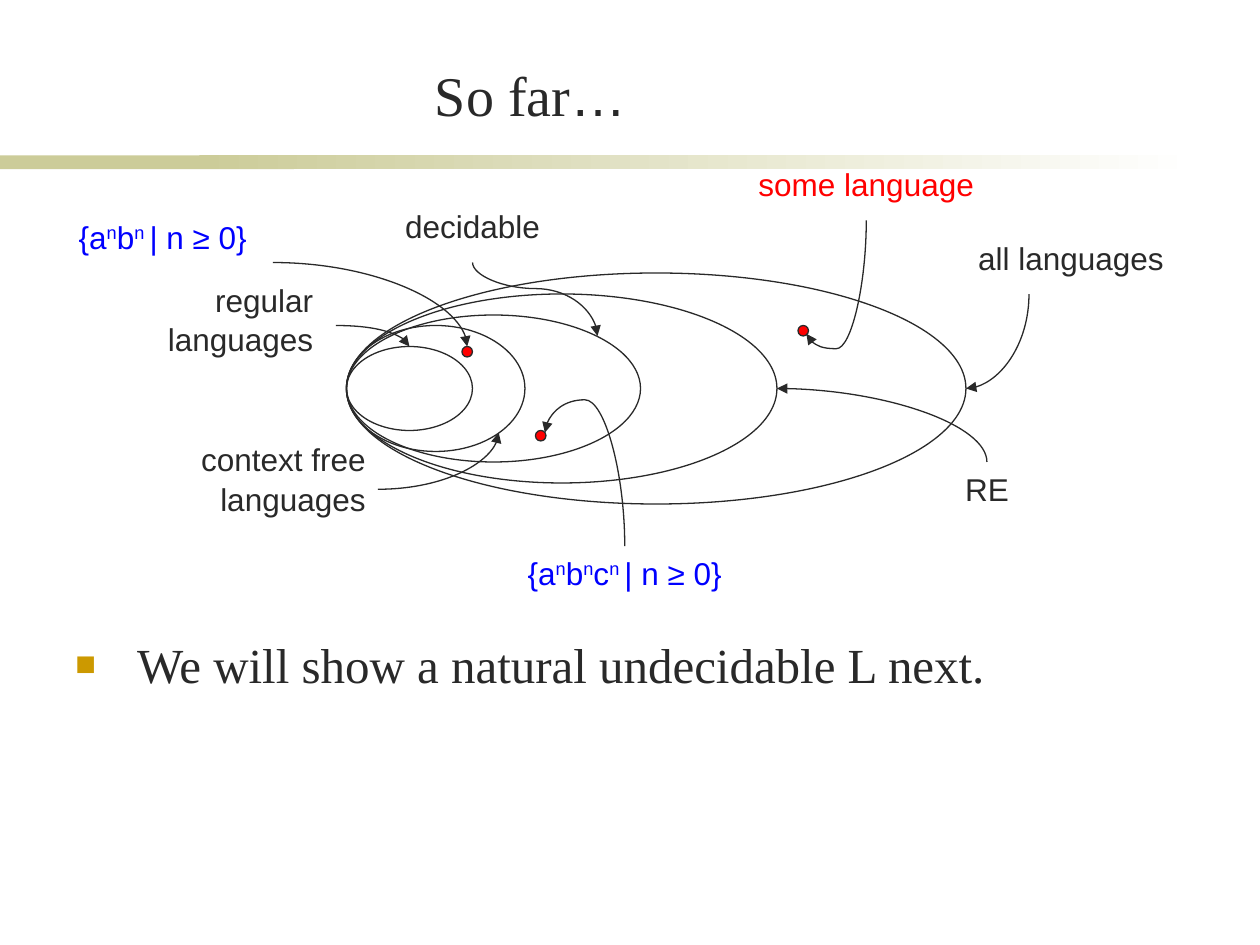
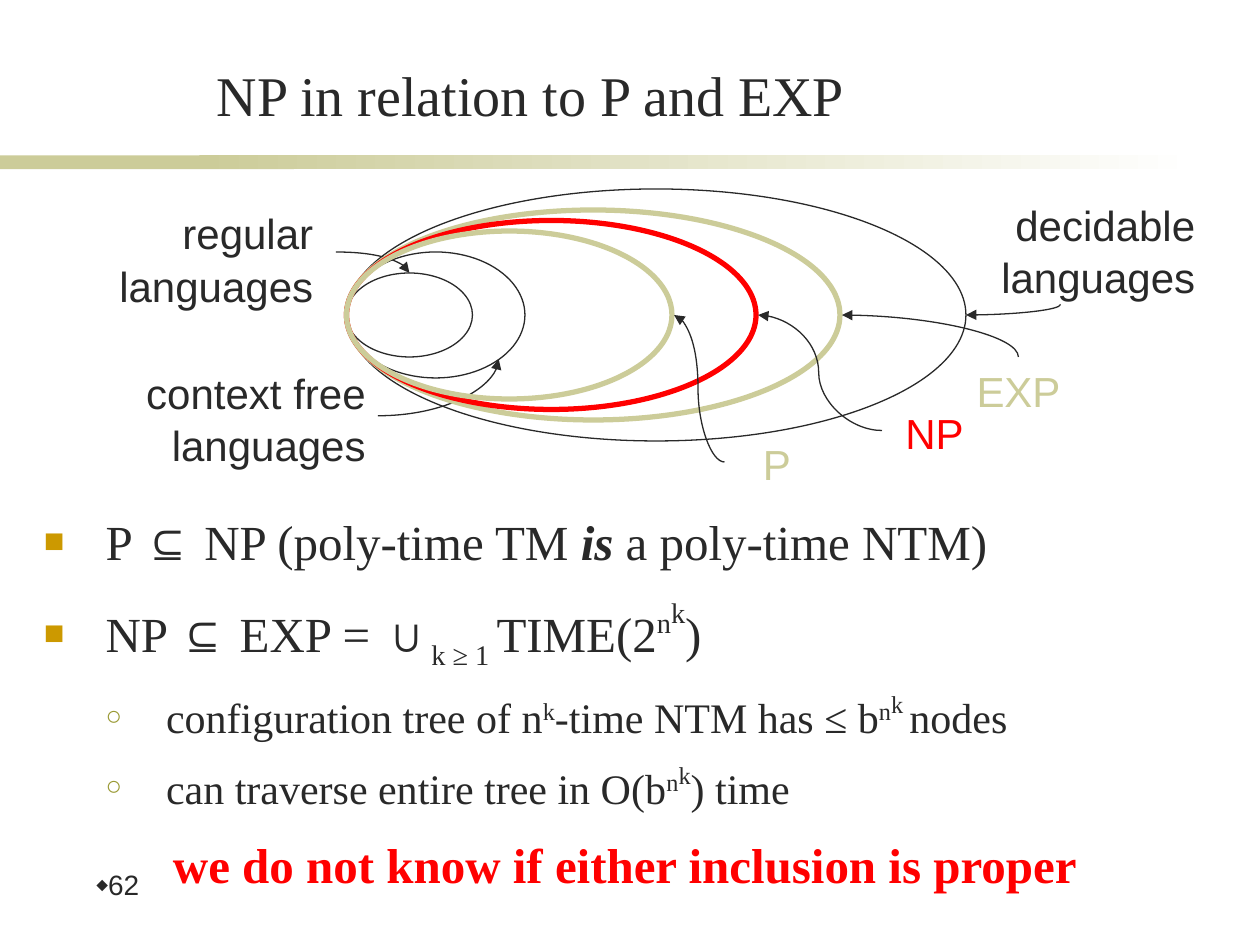
from lxml import etree
from pptx import Presentation
from pptx.dml.color import RGBColor
from pptx.enum.shapes import MSO_CONNECTOR, MSO_SHAPE
from pptx.enum.text import MSO_ANCHOR as ANCHOR, PP_ALIGN as ALIGN
from pptx.oxml.ns import qn
from pptx.util import Inches, Pt

INK = RGBColor(0x29, 0x29, 0x29)
OLIVE = RGBColor(0xCC, 0xCC, 0x99)
GOLD = RGBColor(0xCC, 0x99, 0x00)
MOSS = RGBColor(0x99, 0x99, 0x33)
RED = RGBColor(0xFF, 0x00, 0x00)
BLUE = RGBColor(0x00, 0x00, 0xFF)
WHITE = RGBColor(0xFF, 0xFF, 0xFF)

SANS, SERIF = "Arial", "Times New Roman"
COLUMNS, ROWS = 120, 90  # twelve cells to the inch
NEST_LEFT = 33  # column where all nested ellipses touch


def cells(*counts):
    return [Inches(count / 12) for count in counts]


def child(parent, tag, **attributes):
    element = etree.SubElement(parent, qn(tag))
    for name, value in attributes.items():
        element.set(name, str(value))
    return element


def up(text, percent=30):
    """A raised run, or a lowered one if percent is negative."""
    return text, {"baseline": percent}


def write(paragraph, runs, size=18, font=SANS, color=INK, bold=False,
          align=ALIGN.LEFT, spacing=None, before=0):
    """Fill a paragraph with plain strings and (text, format) pairs."""
    paragraph.alignment = align
    paragraph.space_before = Pt(before)
    if spacing:
        paragraph.line_spacing = spacing
    for part in [runs] if isinstance(runs, str) else runs:
        text, style = (part, {}) if isinstance(part, str) else part
        run = paragraph.add_run()
        run.text = text
        run.font.size = Pt(size)
        run.font.name = style.get("font", font)
        run.font.color.rgb = color
        run.font.bold = style.get("bold", bold)
        run.font.italic = style.get("italic", False)
        if "baseline" in style:
            run._r.get_or_add_rPr().set("baseline", str(style["baseline"] * 1000))


def add_bullet(paragraph, mark, color, percent, margin=0, hanging=0):
    properties = paragraph._p.get_or_add_pPr()
    properties.set("marL", str(Inches(margin)))
    properties.set("indent", str(-Inches(hanging)))
    child(child(properties, "a:buClr"), "a:srgbClr", val=color)
    child(properties, "a:buSzPct", val=percent * 1000)
    child(properties, "a:buFont", typeface=SANS)
    child(properties, "a:buChar", char=mark)


class Deck:
    def __init__(self):
        self.presentation = Presentation()
        self.presentation.slide_width, self.presentation.slide_height = cells(COLUMNS, ROWS)
        self.slide = None

    def new_slide(self, title):
        layout = self.presentation.slide_layouts[6]
        self.slide = self.presentation.slides.add_slide(layout)
        # Band under the title: solid part, then fading part
        self.shape(MSO_SHAPE.RECTANGLE, 0, 14.8, 28, 1.3, fill=OLIVE)
        fading = self.shape(MSO_SHAPE.RECTANGLE, 19, 14.8, 95, 1.3)
        fading.fill.gradient()
        fading.fill.gradient_angle = 0
        for stop, color in zip(fading.fill.gradient_stops, (OLIVE, WHITE)):
            stop.color.rgb = color
        frame = self.text_frame(13.7, 5.3, 73.7, 7.5, anchor=ANCHOR.BOTTOM)
        write(frame.paragraphs[0], title, size=32, font=SERIF, align=ALIGN.CENTER)

    def shape(self, kind, left, top, width, height, fill=None, line=None, weight=0.75):
        shape = self.slide.shapes.add_shape(kind, *cells(left, top, width, height))
        shape.shadow.inherit = False
        if fill is None:
            shape.fill.background()
        else:
            shape.fill.solid()
            shape.fill.fore_color.rgb = fill
        if line is None:
            shape.line.fill.background()
        else:
            shape.line.color.rgb = line
            shape.line.width = Pt(weight)
        return shape

    def text_frame(self, left, top, width, height, anchor=ANCHOR.TOP):
        frame = self.slide.shapes.add_textbox(*cells(left, top, width, height)).text_frame
        frame.word_wrap = True
        frame.vertical_anchor = anchor
        return frame

    def label(self, runs, left, top, width, height=6, align=ALIGN.CENTER, **style):
        frame = self.text_frame(left, top, width, height)
        write(frame.paragraphs[0], runs, align=align, spacing=1.04, **style)

    def nested(self, middle, width, height, color=INK, weight=0.75):
        self.shape(MSO_SHAPE.OVAL, NEST_LEFT, middle - height / 2, width, height,
                   line=color, weight=weight)

    def dot(self, left, top):
        self.shape(MSO_SHAPE.OVAL, left, top, 1, 1, fill=RED, line=INK)

    def arrow(self, start, end, upright=False, bend=None):
        """Curve that leaves start sideways or upright; bend makes it an S."""
        (x1, y1), (x2, y2) = start, end
        same_sign = (x2 > x1) == (y2 > y1)
        width, height = abs(x2 - x1), abs(y2 - y1)
        if upright:
            width, height = height, width
            rotation, flip = (90 if x2 < x1 else 270), ("flipH" if same_sign else None)
        else:
            rotation, flip = (180 if x2 < x1 else 0), (None if same_sign else "flipV")
        left, top = (x1 + x2 - width) / 2, (y1 + y2 - height) / 2
        connector = self.slide.shapes.add_connector(
            MSO_CONNECTOR.CURVE, *cells(left, top, left + width, top + height))
        connector.line.color.rgb = INK
        connector.line.width = Pt(0.75)
        properties = connector.element.spPr
        frame = properties.find(qn("a:xfrm"))
        frame.set("rot", str(rotation * 60000))
        if flip:
            frame.set(flip, "1")
        geometry = properties.find(qn("a:prstGeom"))
        if bend is None:
            geometry.set("prst", "curvedConnector2")
        else:
            guides = geometry.find(qn("a:avLst"))
            if guides is None:
                guides = child(geometry, "a:avLst")
            child(guides, "a:gd", name="adj1", fmla=f"val {round(bend * 100000)}")
        child(properties.find(qn("a:ln")), "a:tailEnd", type="triangle")
        child(properties, "a:effectLst")

    def inner_classes(self, middle, size):
        """Regular and context free languages, with labels and arrows."""
        self.nested(middle, 17, 12)
        self.nested(middle, 12, 8)
        self.label("regular languages", 9, middle - 11, 22, 10.8,
                   align=ALIGN.RIGHT, size=size)
        self.arrow((32, middle - 6), (39, middle - 4))
        self.label("context free languages", 8, middle + 4.2, 28, 10.8,
                   align=ALIGN.RIGHT, size=size)
        self.arrow((36, middle + 9.6), (47.5, middle + 4.2))

    def body(self, left, top, width, height, items, spacing=None):
        """Items are (level, runs); level None is a centred red conclusion."""
        frame = self.text_frame(left, top, width, height)
        for index, (level, runs) in enumerate(items):
            paragraph = frame.add_paragraph() if index else frame.paragraphs[0]
            size = 24 if level == 1 else 28
            style = dict(size=size, font=SERIF, spacing=spacing,
                         before=size * 0.2 if index else 0)
            if level is None:
                style.update(color=RED, bold=True, align=ALIGN.CENTER)
            elif level == 0:
                add_bullet(paragraph, "■", GOLD, 70, 0.49, 0.49)
            else:
                add_bullet(paragraph, "○", MOSS, 65, 0.97, 0.48)
            write(paragraph, runs, **style)

    def page_number(self, number):
        paragraph = self.text_frame(8, 82.4, 17, 6).paragraphs[0]
        add_bullet(paragraph, "⬥", INK, 60)
        write(paragraph, number, size=16, spacing=0.9)


def build_so_far(deck):
    deck.new_slide(["So far", ("…", {"font": SANS})])
    deck.body(6, 59.8, 107.3, 19.7, [(0, "We will show a natural undecidable L next.")])

    # Language classes
    middle = 37
    for width, height in ((59, 22), (41, 18), (28, 14)):
        deck.nested(middle, width, height)
    deck.inner_classes(middle, size=18)
    deck.label("all languages", 84, 22, 28, align=ALIGN.RIGHT)
    deck.arrow((98, 28), (92, middle), upright=True)
    deck.label("decidable", 31, 19, 28)
    deck.arrow((45, 25), (56.9, 32), upright=True, bend=0.355)
    deck.label("RE", 80, 44, 28)
    deck.arrow((94, 44), (74, middle), upright=True)

    # Sample languages
    for left, top in ((44, 33), (51, 41), (76, 31)):
        deck.dot(left, top)
    deck.label(["{a", up("n"), "b", up("n "), "| n ≥ 0}"], 0, 20, 31, color=BLUE)
    deck.arrow((26, 25), (44.5, 33))
    deck.label(["{a", up("n"), "b", up("n"), "c", up("n "), "| n ≥ 0}"],
               42, 52, 35, color=BLUE)
    deck.arrow((59.5, 52), (51.9, 41.2), upright=True, bend=1.29)
    deck.label("some language", 65, 15, 35, color=RED)
    deck.arrow((82.5, 21), (76.8, 31.8), upright=True, bend=1.131)


def build_np_relation(deck):
    deck.new_slide("NP in relation to P and EXP")
    deck.page_number("62")
    deck.body(3, 47, 113, 36, [
        (0, ["P ⊆ NP (poly-time TM ", ("is", {"bold": True, "italic": True}),
             " a poly-time NTM)"]),
        (0, ["NP ⊆ EXP = ∪", up("k ≥ 1 ", -25), "TIME(2", up("n", 40), up("k", 60), ")"]),
        (1, ["configuration tree of n", up("k"), "-time NTM has ≤ b", up("n"),
             up("k ", 46), "nodes"]),
        (1, ["can traverse entire tree in O(b", up("n"), up("k", 46), ") time"]),
        (None, "we do not know if either inclusion is proper"),
    ], spacing=1.2)

    # Language classes
    middle = 30
    deck.nested(middle, 59, 24)
    deck.inner_classes(middle, size=24)
    deck.label("decidable languages", 87, 18.2, 28, 10.8, align=ALIGN.RIGHT, size=24)
    deck.arrow((101, 29), (92, middle), upright=True)

    # Complexity classes
    for width, height, color in ((47, 20, OLIVE), (39, 18, RED), (31, 16, OLIVE)):
        deck.nested(middle, width, height, color, weight=3)
    deck.label("P", 69, 41, 10, size=24, color=OLIVE)
    deck.arrow((69, 44), (64.2, middle), bend=0.526)
    deck.label("EXP", 90, 34, 14, size=24, color=OLIVE)
    deck.arrow((97, 34), (80.2, middle), upright=True)
    deck.label("NP", 84, 38, 10, size=24, color=RED)
    deck.arrow((84, 41), (72.2, middle), bend=0.511)


def main():
    deck = Deck()
    build_so_far(deck)
    build_np_relation(deck)
    deck.presentation.save("out.pptx")


if __name__ == "__main__":
    main()
